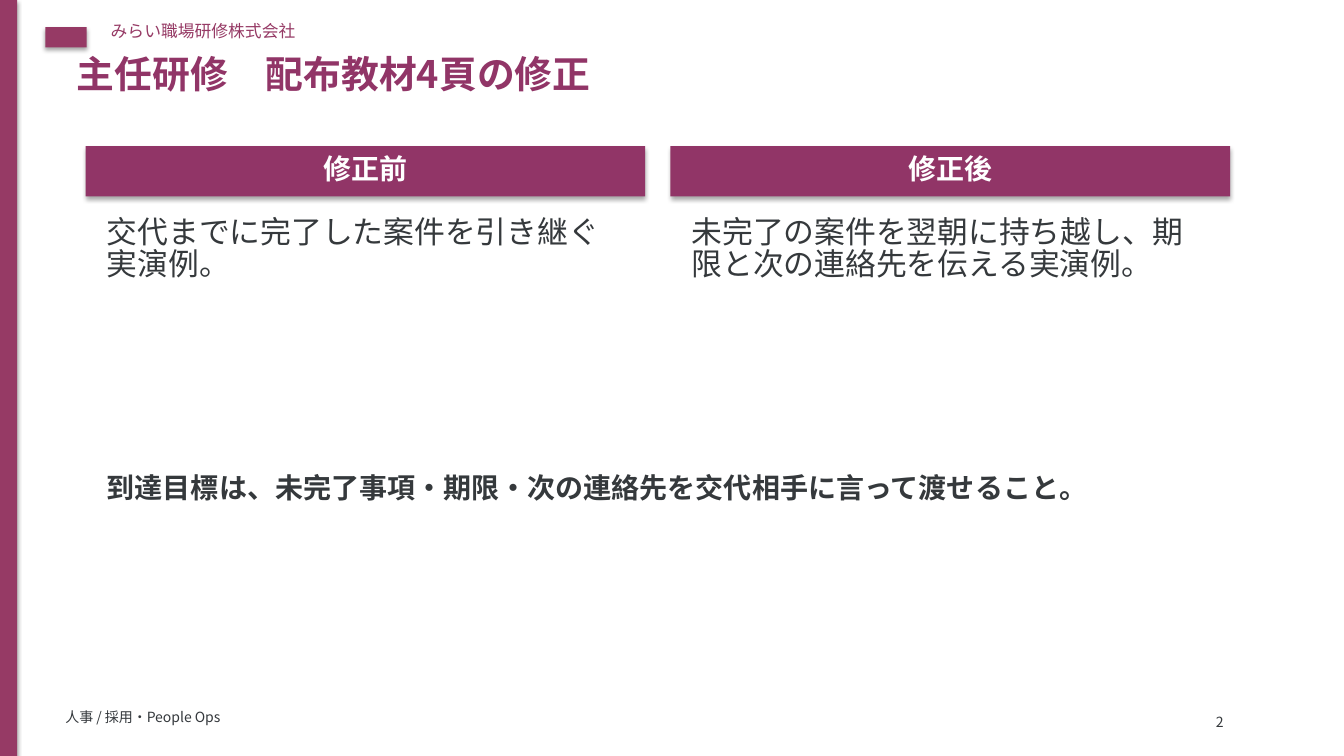
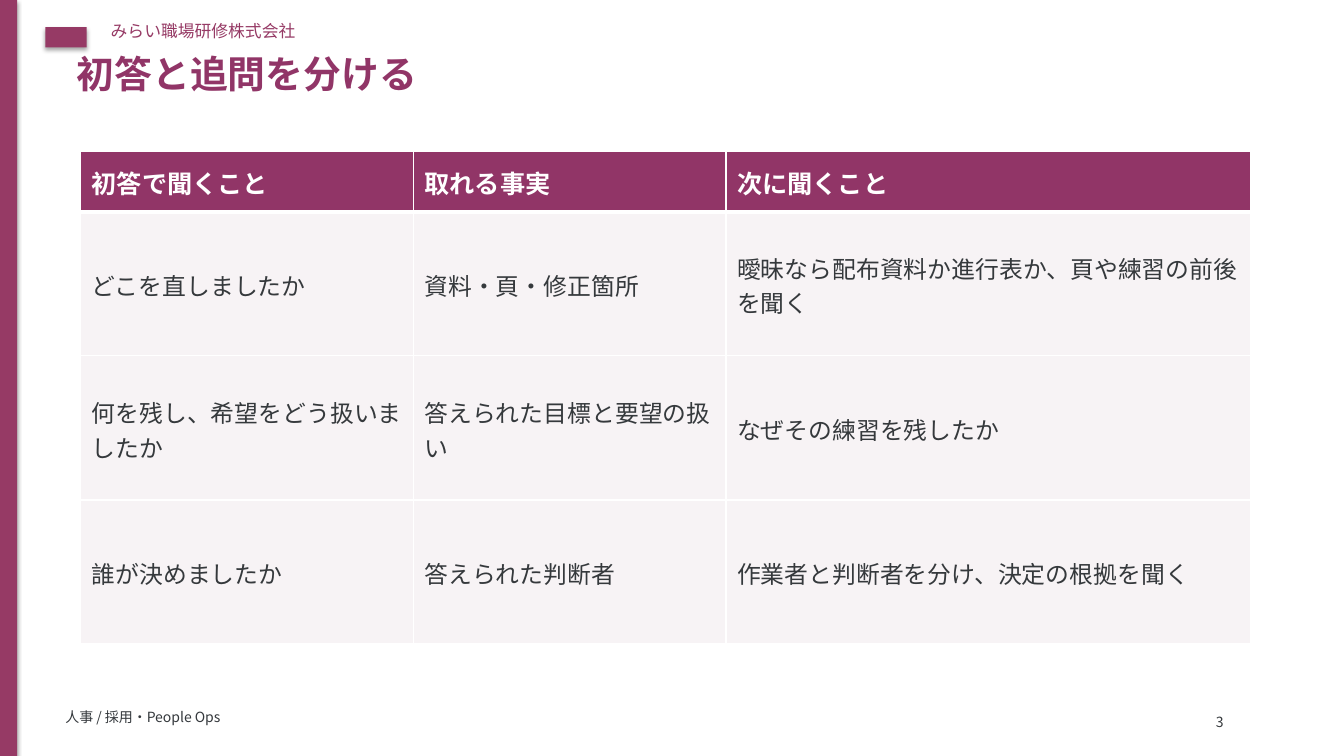
from dataclasses import dataclass

from lxml import etree
from pptx import Presentation
from pptx import util as u
from pptx.dml import color
from pptx.enum import shapes, text
from pptx.oxml import ns


@dataclass(frozen=True)
class Theme:
    font: str = "Noto Sans CJK JP"
    brand: str = "963A65"
    accent: str = "913567"
    ink: str = "35393C"
    footer: str = "34383C"
    white: str = "FFFFFF"
    cell: str = "F7F3F5"
    title_size: int = 27
    body_size: int = 22
    heading_size: int = 20
    table_head_size: int = 18
    table_size: int = 17
    company_size: int = 12
    small_size: int = 10
    leading: float = 0.85


class SlideBuilder:
    def __init__(self, deck, theme):
        self.deck = deck
        self.theme = theme
        self.page = None

    def start(self, title, number):
        theme = self.theme
        layout = self.deck.slide_layouts.get_by_name("Title Only")
        self.page = self.deck.slides.add_slide(layout)
        self.add_bar(0, 0, 0.17, 7.5, theme.brand)
        self.add_bar(0.45, 0.27, 0.41, 0.2, theme.brand)
        self.add_label("みらい職場研修株式会社", 1, 0.19, 8, 0.4,
                       theme.company_size, theme.brand, inset=(0.1, 0.05))
        self.add_label("人事 / 採用・People Ops", 0.55, 7.01, 10, 0.3,
                       theme.small_size, theme.footer, inset=(0.1, 0.05))
        self.set_title(title)
        self.add_label(str(number), 11.95, 7.03, 0.65, 0.3,
                       theme.small_size, theme.ink)

    def set_title(self, words):
        box = self.page.shapes.title
        box.left, box.top = u.Inches(0.65), u.Inches(0.5)
        box.width, box.height = u.Inches(11.9), u.Inches(0.58)
        self.fill_frame(box.text_frame, words, self.theme.title_size,
                        self.theme.accent, bold=True)

    def add_bar(self, left, top, width, height, fill):
        box = self.page.shapes.add_shape(
            shapes.MSO_SHAPE.RECTANGLE, u.Inches(left), u.Inches(top),
            u.Inches(width), u.Inches(height))
        box.fill.solid()
        box.fill.fore_color.rgb = color.RGBColor.from_string(fill)
        box.line.fill.background()
        box.shadow.inherit = False
        effects = box._element.spPr.find(ns.qn("a:effectLst"))
        shadow = etree.SubElement(
            effects, ns.qn("a:outerShdw"), blurRad="40000", dist="23000",
            dir="5400000", rotWithShape="0")
        tint = etree.SubElement(shadow, ns.qn("a:srgbClr"), val="000000")
        etree.SubElement(tint, ns.qn("a:alpha"), val="35000")
        return box

    def add_heading(self, words, left, top, width, height):
        box = self.add_bar(left, top, width, height, self.theme.accent)
        self.fill_frame(box.text_frame, words, self.theme.heading_size,
                        self.theme.white, bold=True,
                        align=text.PP_ALIGN.CENTER, anchor=text.MSO_ANCHOR.MIDDLE)

    def add_label(self, words, left, top, width, height, size, tone,
                  bold=False, inset=(0.11, 0.07)):
        box = self.page.shapes.add_textbox(
            u.Inches(left), u.Inches(top), u.Inches(width), u.Inches(height))
        self.fill_frame(box.text_frame, words, size, tone, bold, inset)

    def fill_frame(self, frame, words, size, tone, bold=False, inset=(0.11, 0.07),
                   align=text.PP_ALIGN.LEFT, anchor=text.MSO_ANCHOR.TOP):
        frame.text = words
        frame.word_wrap = True
        frame.auto_size = text.MSO_AUTO_SIZE.NONE
        frame.vertical_anchor = anchor
        frame.margin_left = frame.margin_right = u.Inches(inset[0])
        frame.margin_top = frame.margin_bottom = u.Inches(inset[1])
        para = frame.paragraphs[0]
        para.alignment = align
        para.line_spacing = self.theme.leading
        self.format_runs(para, size, tone, bold)

    def format_runs(self, para, size, tone, bold):
        for span in para.runs:
            span.font.name = self.theme.font
            span.font.size = u.Pt(size)
            span.font.bold = bold
            span.font.color.rgb = color.RGBColor.from_string(tone)
            etree.SubElement(span.font._element, ns.qn("a:ea"),
                             typeface=self.theme.font)

    def add_table(self, rows, left, top, widths, heights):
        theme = self.theme
        grid = self.page.shapes.add_table(
            len(rows), len(widths), u.Inches(left), u.Inches(top),
            u.Inches(sum(widths)), u.Inches(sum(heights))).table
        for column, width in zip(grid.columns, widths):
            column.width = u.Inches(width)
        for row_index, (row, height) in enumerate(zip(rows, heights)):
            grid.rows[row_index].height = u.Inches(height)
            for column_index, words in enumerate(row):
                cell = grid.cell(row_index, column_index)
                if row_index == 0:
                    self.fill_cell(cell, words, theme.table_head_size, theme.white,
                                   theme.accent, bold=True, bottom=3)
                else:
                    self.fill_cell(cell, words, theme.table_size, theme.ink,
                                   theme.cell)

    def fill_cell(self, cell, words, size, tone, fill, bold=False, bottom=1):
        cell.text_frame.text = words
        cell.vertical_anchor = text.MSO_ANCHOR.MIDDLE
        cell.margin_left = cell.margin_right = u.Inches(0.11)
        cell.margin_top, cell.margin_bottom = u.Inches(0.08), u.Inches(0.05)
        self.format_runs(cell.text_frame.paragraphs[0], size, tone, bold)
        cell.fill.solid()
        cell.fill.fore_color.rgb = color.RGBColor.from_string(fill)
        properties = cell._tc.get_or_add_tcPr()
        borders = {"a:lnL": 1, "a:lnR": 1, "a:lnT": 1, "a:lnB": bottom}
        for index, (side, points) in enumerate(borders.items()):
            line = etree.Element(ns.qn(side), w=str(int(u.Pt(points))))
            paint = etree.SubElement(line, ns.qn("a:solidFill"))
            etree.SubElement(paint, ns.qn("a:srgbClr"), val=self.theme.white)
            properties.insert(index, line)


def add_revision(builder):
    theme = builder.theme
    builder.start("主任研修　配布教材4頁の修正", 2)
    columns = [
        ("修正前", "交代までに完了した案件を引き継ぐ実演例。", 0.85, 5.3),
        ("修正後", "未完了の案件を翌朝に持ち越し、期限と次の連絡先を伝える実演例。", 6.65, 5.25),
    ]
    for heading, body, left, body_width in columns:
        builder.add_heading(heading, left, 1.45, 5.55, 0.5)
        builder.add_label(body, left + 0.1, 2.1, body_width, 2,
                          theme.body_size, theme.ink)
    builder.add_label("到達目標は、未完了事項・期限・次の連絡先を交代相手に言って渡せること。",
                      0.95, 4.65, 11.2, 1.2, theme.heading_size, theme.ink, bold=True)


def add_questions(builder):
    builder.start("初答と追問を分ける", 3)
    rows = [
        ("初答で聞くこと", "取れる事実", "次に聞くこと"),
        ("どこを直しましたか", "資料・頁・修正箇所",
         "曖昧なら配布資料か進行表か、頁や練習の前後を聞く"),
        ("何を残し、希望をどう扱いましたか", "答えられた目標と要望の扱い",
         "なぜその練習を残したか"),
        ("誰が決めましたか", "答えられた判断者",
         "作業者と判断者を分け、決定の根拠を聞く"),
    ]
    builder.add_table(rows, 0.8, 1.5, (3.3, 3.1, 5.2), (0.6, 1.43, 1.43, 1.43))


def main():
    deck = Presentation()
    deck.slide_width, deck.slide_height = u.Inches(13.33), u.Inches(7.5)
    builder = SlideBuilder(deck, Theme())
    add_revision(builder)
    add_questions(builder)
    deck.save("out.pptx")


if __name__ == "__main__":
    main()
